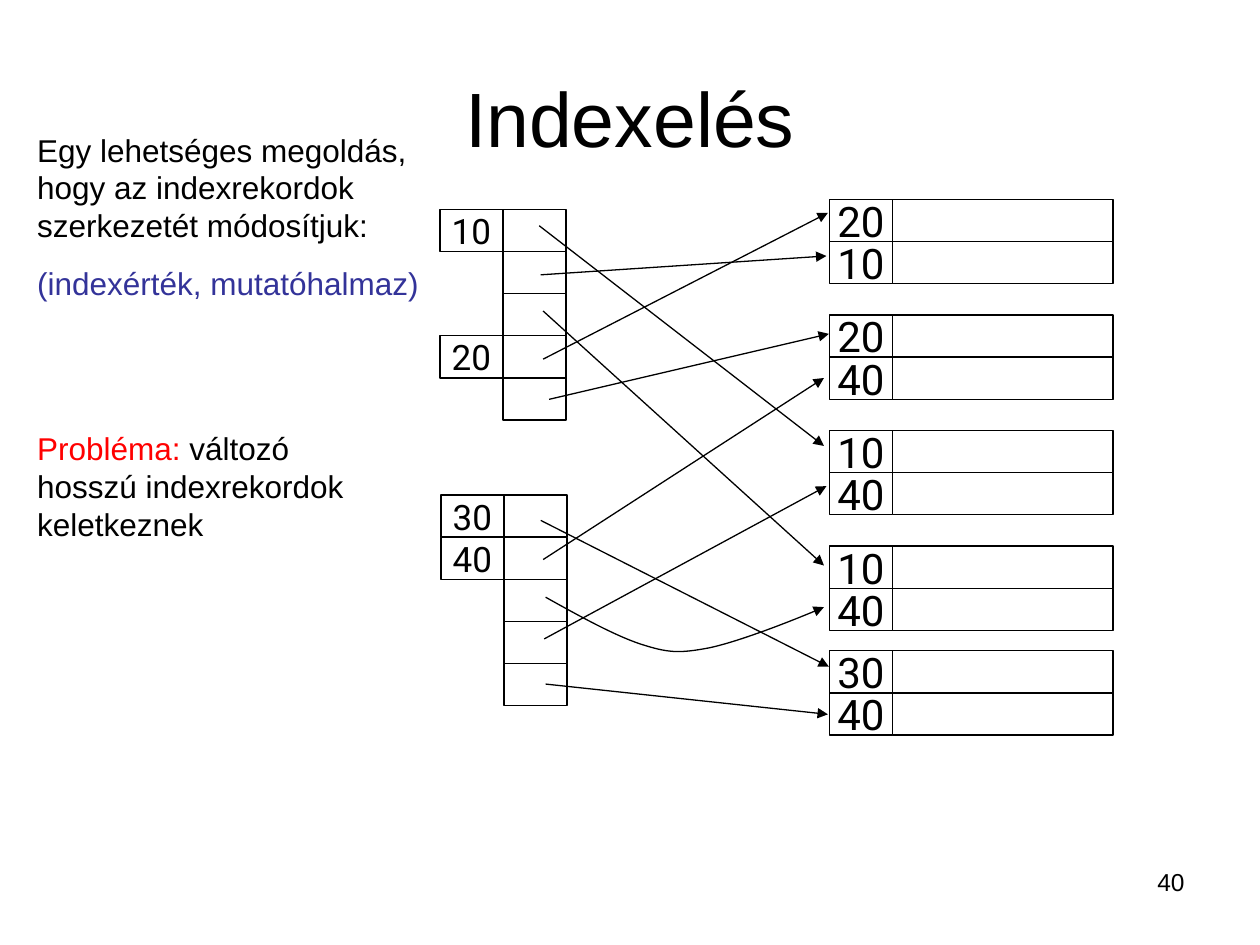
from lxml.etree import SubElement
from pptx import Presentation
from pptx.dml.color import RGBColor
from pptx.enum.shapes import MSO_CONNECTOR, MSO_SHAPE
from pptx.enum.text import MSO_ANCHOR, PP_ALIGN
from pptx.oxml.ns import qn
from pptx.util import Cm, Pt

BLACK = RGBColor(0x00, 0x00, 0x00)
WHITE = RGBColor(0xFF, 0xFF, 0xFF)
BLUE = RGBColor(0x33, 0x33, 0x99)
RED = RGBColor(0xFF, 0x00, 0x00)

LINE_WIDTH = Pt(0.74)
ROW_HEIGHT = 0.85
KEY_WIDTH = 1.27
POINTER_WIDTH = 1.27
DATA_WIDTH = 4.45

# Data blocks: top and the keys of their records
RECORDS_LEFT = 16.72
RECORD_BLOCKS = [
    (4.02, ("20", "10")),
    (6.35, ("20", "40")),
    (8.68, ("10", "40")),
    (11.01, ("10", "40")),
    (13.12, ("30", "40")),
]

# Index blocks: left, top and keys; an empty key leaves only a pointer cell
INDEX_BLOCKS = [
    (8.87, 4.22, ("10", "", "", "20", "")),
    (8.89, 9.98, ("30", "40", "", "", "")),
]

# Straight pointers: start and end
POINTERS = [
    ((10.87, 4.55), (16.61, 8.99)),
    ((10.9, 5.54), (16.66, 5.16)),
    ((10.95, 6.27), (16.61, 11.4)),
    ((10.95, 7.24), (16.69, 4.29)),
    ((11.07, 8.05), (16.71, 6.73)),
    ((10.9, 10.49), (16.71, 13.44)),
    ((10.95, 11.28), (16.61, 7.62)),
    ((11, 13.79), (16.69, 14.4)),
    ((10.97, 12.88), (16.66, 9.8)),
]

# Curved pointer: start, then three points for each Bezier segment
CURVE = [
    (11, 12.04),
    (11.68, 12.42), (12.37, 12.8), (12.9, 12.98),
    (13.46, 13.16), (13.67, 13.18), (14.3, 13.06),
    (14.91, 12.93), (16.26, 12.4), (16.61, 12.24),
]


def add_span(para, text, size, color=BLACK, font="Arial"):
    span = para.add_run()
    span.text = text
    span.font.size = Pt(size)
    span.font.name = font
    span.font.color.rgb = color


def add_text(page, left, top, width, height, paragraphs, size=18,
             align=PP_ALIGN.LEFT, anchor=MSO_ANCHOR.TOP, space_before=0):
    """Each paragraph is a list of (text, color) pairs."""
    box = page.shapes.add_textbox(Cm(left), Cm(top), Cm(width), Cm(height))
    frame = box.text_frame
    frame.word_wrap = True
    frame.vertical_anchor = anchor
    for number, spans in enumerate(paragraphs):
        para = frame.add_paragraph() if number else frame.paragraphs[0]
        para.alignment = align
        para.space_before = Pt(space_before)
        for text, color in spans:
            add_span(para, text, size, color)


def add_cell(page, left, top, width, text="", size=24):
    cell = page.shapes.add_shape(
        MSO_SHAPE.RECTANGLE, Cm(left), Cm(top), Cm(width), Cm(ROW_HEIGHT))
    cell.shadow.inherit = False
    cell.fill.solid()
    cell.fill.fore_color.rgb = WHITE
    cell.line.color.rgb = BLACK
    cell.line.width = LINE_WIDTH
    if text:
        frame = cell.text_frame
        frame.word_wrap = False
        frame.vertical_anchor = MSO_ANCHOR.MIDDLE
        para = frame.paragraphs[0]
        para.alignment = PP_ALIGN.CENTER
        add_span(para, text, size, font="Roboto")


def add_rows(page, left, top, keys, width, size, key_always):
    for row, key in enumerate(keys):
        row_top = top + row * ROW_HEIGHT
        if key or key_always:
            add_cell(page, left, row_top, KEY_WIDTH, key, size)
        add_cell(page, left + KEY_WIDTH, row_top, width)


def style_arrow(arrow):
    arrow.line.color.rgb = BLACK
    arrow.line.width = LINE_WIDTH
    SubElement(arrow.line._get_or_add_ln(), qn("a:tailEnd"), type="triangle")


def add_arrow(page, start, end):
    points = [Cm(value) for value in start + end]
    arrow = page.shapes.add_connector(MSO_CONNECTOR.STRAIGHT, *points)
    style_arrow(arrow)
    SubElement(arrow._element.spPr, qn("a:effectLst"))


def add_curved_arrow(page, points):
    points = [(Cm(x), Cm(y)) for x, y in points]
    builder = page.shapes.build_freeform(*points[0])
    builder.add_line_segments(points[1:], close=False)
    arrow = builder.convert_to_shape()
    arrow.shadow.inherit = False
    arrow.fill.background()
    style_arrow(arrow)
    # Join each three line points into one cubic segment
    outline = next(arrow._element.iter(qn("a:path")))
    steps = outline.findall(qn("a:lnTo"))
    for first in range(0, len(steps), 3):
        cubic = SubElement(outline, qn("a:cubicBezTo"))
        for step in steps[first:first + 3]:
            cubic.append(step[0])
            outline.remove(step)


def main():
    deck = Presentation()
    deck.slide_width, deck.slide_height = Cm(25.4), Cm(19.05)
    page = deck.slides.add_slide(deck.slide_layouts[6])

    # Page number
    add_text(page, 18.21, 17.35, 5.92, 1.32, [[("40", BLACK)]],
             size=14, align=PP_ALIGN.RIGHT)

    # Records and index
    for top, keys in RECORD_BLOCKS:
        add_rows(page, RECORDS_LEFT, top, keys, DATA_WIDTH, 24, True)
    for left, top, keys in INDEX_BLOCKS:
        add_rows(page, left, top, keys, POINTER_WIDTH, 20, False)

    # Pointers
    for start, end in POINTERS:
        add_arrow(page, start, end)
    add_curved_arrow(page, CURVE)

    # Title and explanations
    add_text(page, 1.27, 0.76, 22.86, 3.18, [[("Indexelés", BLACK)]],
             size=44, align=PP_ALIGN.CENTER, anchor=MSO_ANCHOR.MIDDLE)
    add_text(page, 0.5, 2.51, 8.2, 3.71, [
        [("Egy lehetséges megoldás, hogy az indexrekordok "
          "szerkezetét módosítjuk:", BLACK)],
        [("(indexérték, mutatóhalmaz)", BLUE)],
    ], space_before=11.2)
    add_text(page, 0.5, 8.53, 7.01, 2.54, [
        [("Probléma: ", RED),
         ("változó hosszú indexrekordok keletkeznek", BLACK)],
    ], space_before=11.2)

    deck.save("out.pptx")


main()
